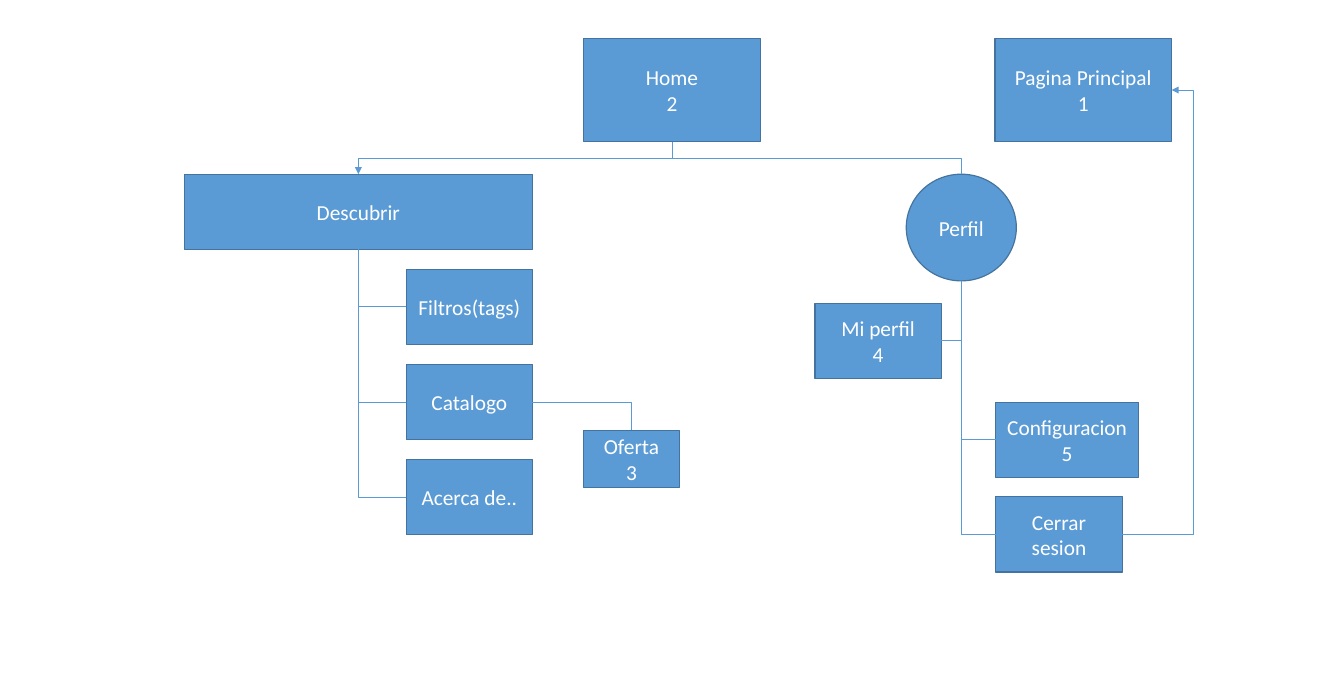
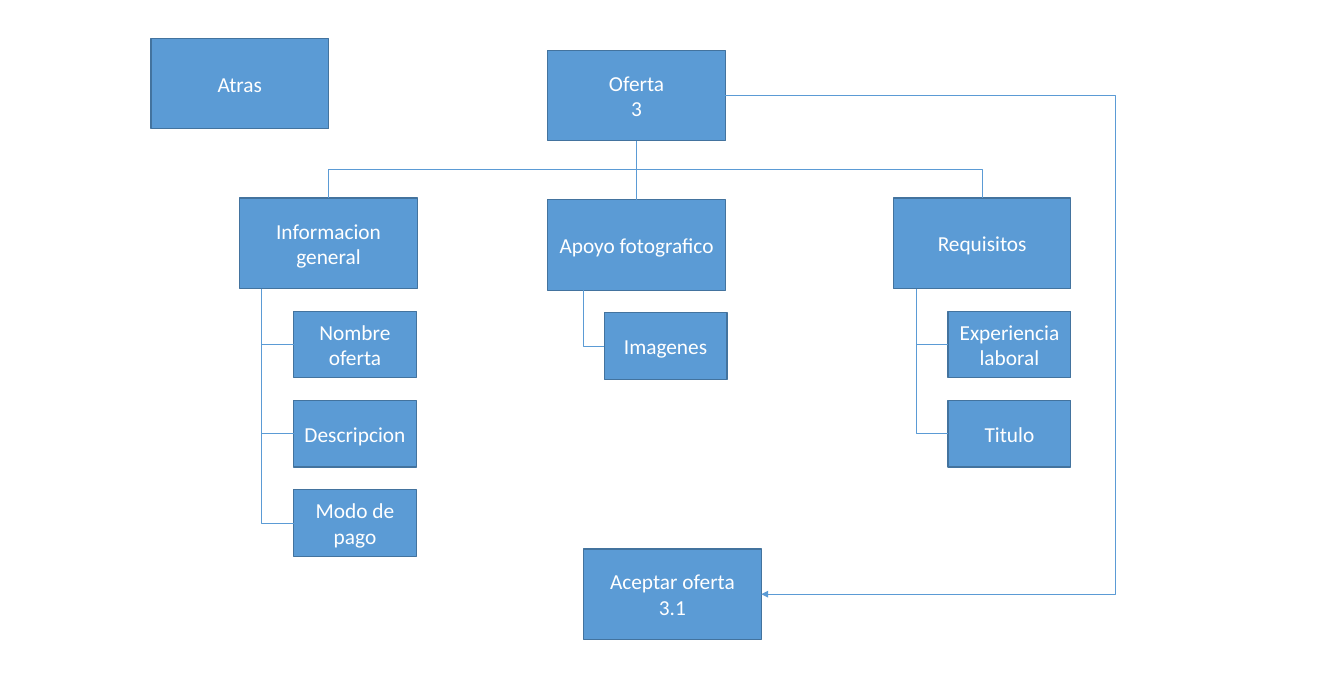
from dataclasses import dataclass
from typing import NamedTuple

from lxml.etree import SubElement as Sub
from pptx import Presentation
from pptx.dml.color import RGBColor as Rgb
from pptx.enum.shapes import MSO_CONNECTOR as Wire
from pptx.enum.shapes import MSO_SHAPE as Form
from pptx.enum.text import MSO_ANCHOR as Anchor
from pptx.enum.text import PP_ALIGN as Align
from pptx.oxml.ns import qn
from pptx.util import Inches, Pt

WIDE, HIGH = Inches(15.75), Inches(8.07)
COLS = 63
CELL = WIDE / COLS
TOP, LEFT, BASE, RIGHT = range(4)


@dataclass(frozen=True)
class Theme:
    """Colours, font and sizes that both slides share."""

    fill: Rgb = Rgb(0x5B, 0x9B, 0xD5)
    edge: Rgb = Rgb(0x43, 0x73, 0x9E)
    ink: Rgb = Rgb(0xFF, 0xFF, 0xFF)
    font: str = "Calibri"
    size: Pt = Pt(18)
    rim: Pt = Pt(1)
    wire: Pt = Pt(0.5)


THEME = Theme()


class Box(NamedTuple):
    """An area measured in grid cells."""

    x: float
    y: float
    w: float
    h: float

    def sub(self, x, y, w, h):
        """Return an area offset from this one's top left corner."""
        return Box(self.x + x, self.y + y, w, h)


def emu(cells):
    """Turn grid cells into a length."""
    return round(cells * CELL)


def node(slide, box, text, form=Form.RECTANGLE):
    """Draw a labelled shape of the site map."""
    shape = slide.shapes.add_shape(form, *map(emu, box))
    shape.shadow.inherit = False
    shape.fill.solid()
    shape.fill.fore_color.rgb = THEME.fill
    shape.line.color.rgb = THEME.edge
    shape.line.width = THEME.rim
    frame = shape.text_frame
    frame.text = text
    frame.vertical_anchor = Anchor.MIDDLE
    for para in frame.paragraphs:
        para.alignment = Align.CENTER
        for run in para.runs:
            font = run.font
            font.name, font.size = THEME.font, THEME.size
            font.color.rgb = THEME.ink
    return shape


def upend(wire):
    """Turn an elbow so that it leaves its start downwards."""
    x1, y1, x2, y2 = wire.begin_x, wire.begin_y, wire.end_x, wire.end_y
    midx, midy = (x1 + x2) // 2, (y1 + y2) // 2
    dx, dy = abs(x2 - x1) // 2, abs(y2 - y1) // 2
    side = 1 if x2 < x1 else -1
    wire.begin_x, wire.begin_y = midx - side * dy, midy - dx
    wire.end_x, wire.end_y = midx + side * dy, midy + dx
    turn = 90 if side > 0 else 270
    wire._element.spPr.find(qn("a:xfrm")).set("rot", str(turn * 60000))


def link(slide, start, end, kind=Wire.ELBOW, corner=False, down=False, lane=None, arrow=False):
    """Join a (shape, side) or (x, y) start to a (shape, side) end."""
    wire = slide.shapes.add_connector(kind, 0, 0, 0, 0)
    if isinstance(start[0], (int, float)):
        wire.begin_x, wire.begin_y = map(emu, start)
    else:
        wire.begin_connect(*start)
    wire.end_connect(*end)
    props = wire._element.spPr
    shape = props.find(qn("a:prstGeom"))
    if corner:
        shape.set("prst", "bentConnector2")
    if lane is not None:
        share = (emu(lane) - wire.begin_x) / (wire.end_x - wire.begin_x)
        guides = shape.find(qn("a:avLst"))
        Sub(guides, qn("a:gd"), name="adj1", fmla=f"val {round(share * 100000)}")
    if down:
        upend(wire)
    wire.line.color.rgb = THEME.fill
    wire.line.width = THEME.wire
    if arrow:
        Sub(props.find(qn("a:ln")), qn("a:tailEnd"), type="triangle")
    Sub(props, qn("a:effectLst"))


def leaves(slide, box, step, start, names):
    """Stack child nodes from the first box and hang them on a trunk."""
    nodes = [node(slide, box.sub(0, i * step, box.w, box.h), name) for i, name in enumerate(names)]
    for leaf in nodes:
        link(slide, start, (leaf, LEFT), corner=True, down=True)
    return nodes


def find(slide, box):
    """Draw the discovery region and return its head."""
    head = node(slide, box.sub(0, 0, box.w, 3.52), "Descubrir")
    first = box.sub(box.w - 5.92, 4.45, 5.92, 3.52)
    names = ("Filtros(tags)", "Catalogo", "Acerca de..")
    stack = leaves(slide, first, 4.46, (head, BASE), names)
    offer = node(slide, box.sub(18.72, 12, 4.48, 2.68), "Oferta\n3")
    link(slide, (stack[1], RIGHT), (offer, TOP), corner=True)
    return head


def user(slide, box):
    """Draw the profile region and return its head and exit."""
    head = node(slide, box.sub(4.28, 0, 5.16, 5), "Perfil", Form.OVAL)
    trunk = (box.x + 6.86, box.y + 5)
    mine = node(slide, box.sub(0, 6.04, 5.92, 3.52), "Mi perfil\n4")
    link(slide, trunk, (mine, RIGHT), corner=True, down=True)
    leaves(slide, box.sub(8.48, 10.68, 6.68, 3.52), 0, trunk, ["Configuracion\n5"])
    exits = leaves(slide, box.sub(8.48, 15.12, 5.92, 3.52), 0, trunk, ["Cerrar sesion"])
    return head, exits[0]


def home(slide, box):
    """Draw the home map."""
    top = node(slide, box.sub(27.36, 1.8, 8.28, 4.84), "Home\n2")
    main = node(slide, box.sub(46.64, 1.8, 8.28, 4.84), "Pagina Principal\n1")
    seek = find(slide, box.sub(8.64, 8.16, 16.32, 14.68))
    head, leave = user(slide, box.sub(38.2, 8.16, 15.16, 18.64))
    link(slide, (top, BASE), (seek, TOP), down=True, arrow=True)
    link(slide, (top, BASE), (head, TOP), down=True)
    link(slide, (leave, RIGHT), (main, RIGHT), lane=box.x + 55.92, arrow=True)


def branch(slide, box, trunk, inset, title, names):
    """Draw a titled branch with its leaves and return the title node."""
    head = node(slide, box, title)
    first = box.sub(inset, 5.3, 5.76, 3.12)
    leaves(slide, first, 4.18, (box.x + trunk, box.y + box.h), names)
    return head


def offer(slide, box):
    """Draw the offer map."""
    size = (8.32, 4.24)
    node(slide, box.sub(7.08, 1.8, *size), "Atras")
    top = node(slide, box.sub(25.68, 2.36, *size), "Oferta\n3")
    done = node(slide, box.sub(27.36, 25.72, *size), "Aceptar oferta\n3.1")
    facts = branch(slide, box.sub(11.24, 9.28, *size), 1, 2.52, "Informacion general",
                   ("Nombre oferta", "Descripcion", "Modo de pago"))
    photo = branch(slide, box.sub(25.68, 9.36, *size), 1.68, 2.64, "Apoyo fotografico", ("Imagenes",))
    needs = branch(slide, box.sub(41.88, 9.28, *size), 1.08, 2.56, "Requisitos",
                   ("Experiencia laboral", "Titulo"))
    for head in (facts, needs):
        link(slide, (top, BASE), (head, TOP), down=True)
    link(slide, (top, BASE), (photo, TOP), Wire.STRAIGHT)
    link(slide, (top, RIGHT), (done, RIGHT), lane=box.x + 52.28, arrow=True)


def main():
    """Build and save both maps."""
    deck = Presentation()
    deck.slide_width, deck.slide_height = WIDE, HIGH
    page = Box(0, 0, COLS, HIGH / CELL)
    for draw in (home, offer):
        draw(deck.slides.add_slide(deck.slide_layouts[6]), page)
    deck.save("out.pptx")


if __name__ == "__main__":
    main()
